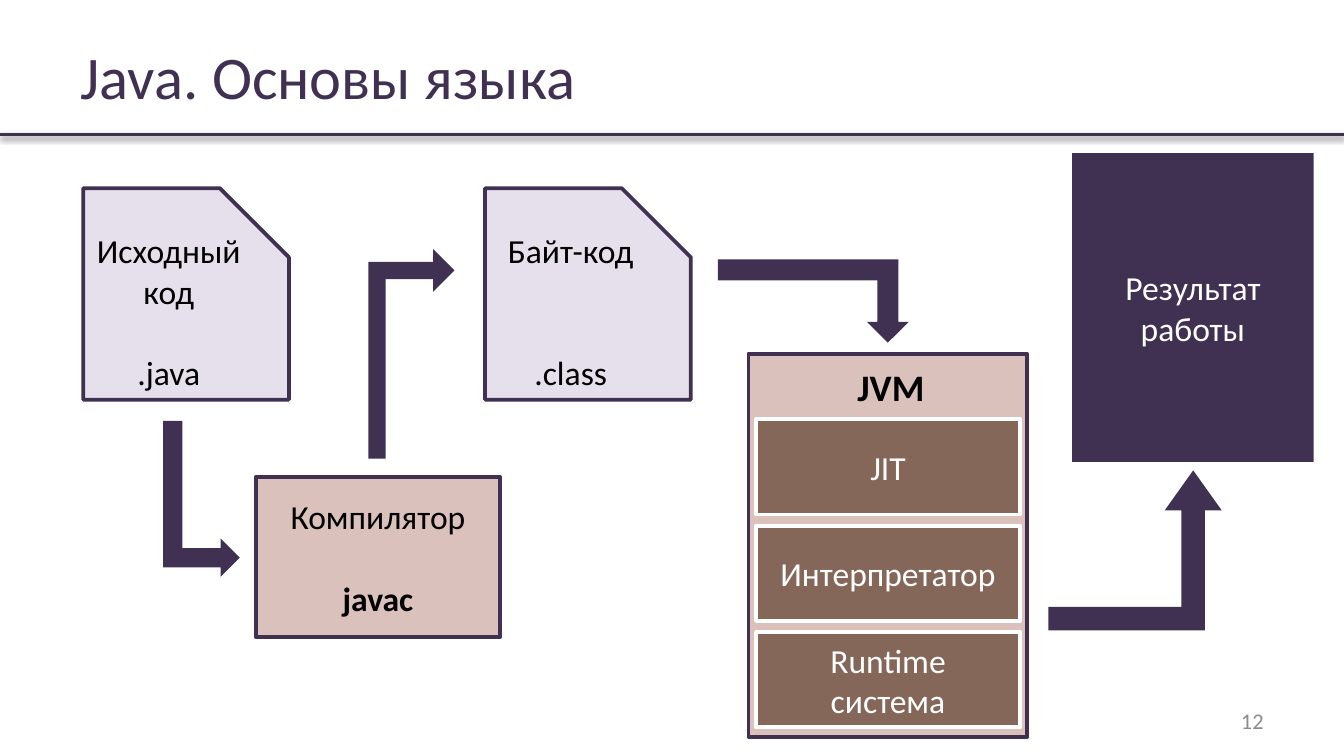
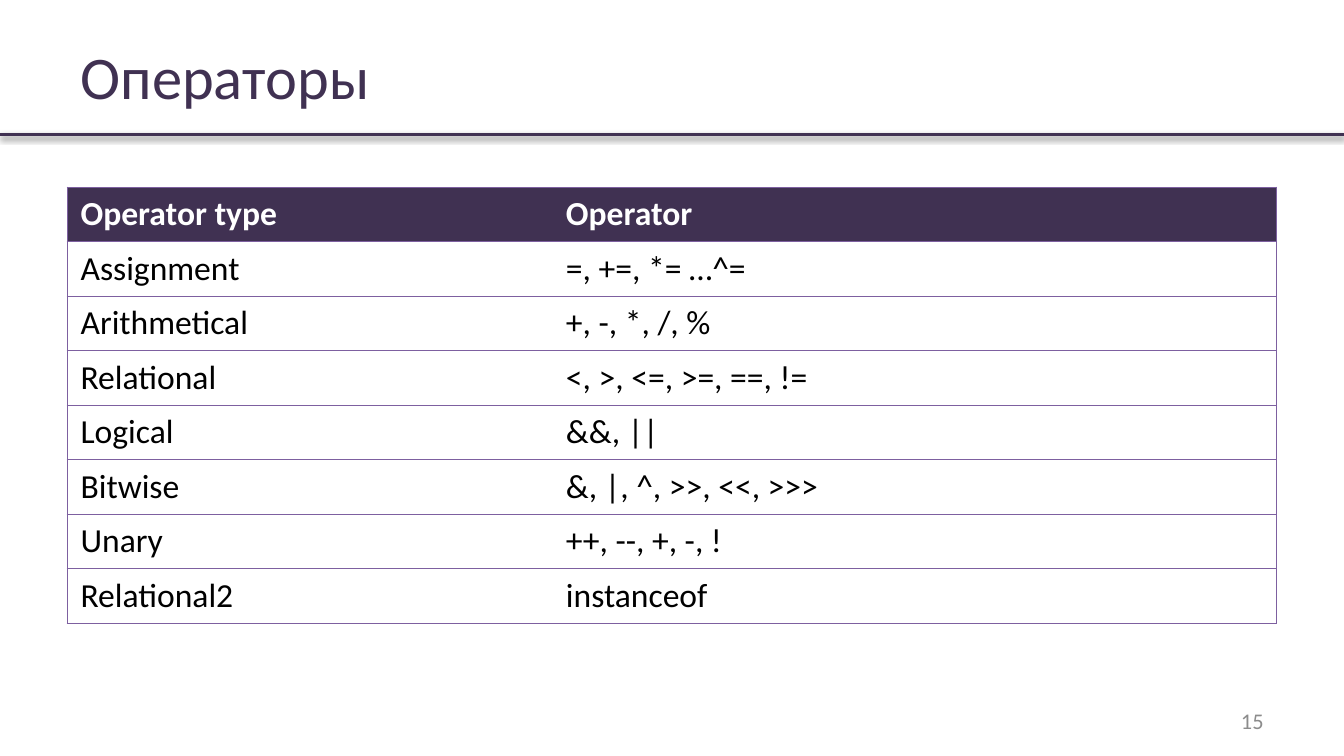
import pptx
import pptx.util
import pptx.dml.color
import pptx.enum.shapes
import pptx.enum.text
import pptx.oxml

Pt = pptx.util.Pt
SHAPE = pptx.enum.shapes.MSO_SHAPE
ALIGN = pptx.enum.text.PP_ALIGN
ANCHOR = pptx.enum.text.MSO_ANCHOR
NAMESPACE = 'xmlns:a="http://schemas.openxmlformats.org/drawingml/2006/main"'
FONT = "Calibri"
PURPLE, LILAC, PINK, BROWN = "403152", "E6E0EC", "DAC1BC", "846759"
BLACK, WHITE, GREY, BORDER = "000000", "FFFFFF", "8C8C8C", "7D60A0"
LINE_HEIGHT = 22


def style_paragraph(paragraph, size, color, bold=False, align=ALIGN.LEFT):
    paragraph.alignment = align
    paragraph.font.name = FONT
    paragraph.font.size = Pt(size)
    paragraph.font.bold = bold
    paragraph.font.color.rgb = pptx.dml.color.RGBColor.from_string(color)


def add_box(shapes, kind, box, fill, line=None, lines=(), color=BLACK):
    shape = shapes.add_shape(kind, *[Pt(length) for length in box])
    shape.shadow.inherit = False
    shape.fill.solid()
    shape.fill.fore_color.rgb = pptx.dml.color.RGBColor.from_string(fill)
    if line:
        shape.line.color.rgb = pptx.dml.color.RGBColor.from_string(line)
        shape.line.width = Pt(2)
    else:
        shape.line.fill.background()
    frame = shape.text_frame
    frame.word_wrap = True
    frame.vertical_anchor = ANCHOR.MIDDLE
    for index, (text, gap, bold) in enumerate(lines):
        paragraph = frame.add_paragraph() if index else frame.paragraphs[0]
        paragraph.text = text
        if gap:
            paragraph.space_before = Pt(gap * LINE_HEIGHT)
        style_paragraph(paragraph, 18, color, bold, ALIGN.CENTER)
    return shape


presentation = pptx.Presentation()
presentation.slide_width, presentation.slide_height = Pt(720), Pt(405)
layout = presentation.slide_layouts[5]

slides = []
for title, number in (("Java. Основы языка", "12"), ("Операторы", "15")):
    slide = presentation.slides.add_slide(layout)
    heading = slide.shapes.title
    heading.left, heading.top, heading.width, heading.height = Pt(36), Pt(16.5), Pt(648), Pt(48)
    heading.text_frame.text = title
    heading.text_frame.auto_size = pptx.enum.text.MSO_AUTO_SIZE.NONE
    heading.text_frame.vertical_anchor = ANCHOR.MIDDLE
    style_paragraph(heading.text_frame.paragraphs[0], 32.4, PURPLE)

    page_number = slide.shapes.add_textbox(Pt(516), Pt(375.3), Pt(168), Pt(21.6))
    page_number.text_frame.word_wrap = True
    page_number.text_frame.vertical_anchor = ANCHOR.MIDDLE
    page_number.text_frame.text = number
    style_paragraph(page_number.text_frame.paragraphs[0], 12, GREY, align=ALIGN.RIGHT)
    slides.append(slide)

diagram_slide, table_slide = slides

rule = diagram_slide.shapes.add_connector(
    pptx.enum.shapes.MSO_CONNECTOR.STRAIGHT, Pt(0), Pt(72), Pt(720), Pt(72))
rule.line.color.rgb = pptx.dml.color.RGBColor.from_string(PURPLE)
rule.line.width = Pt(2)
rule.element.spPr.append(pptx.oxml.parse_xml(
    f'<a:effectLst {NAMESPACE}><a:outerShdw blurRad="{Pt(3.1)}" dist="{Pt(1.6)}" dir="5400000" '
    f'rotWithShape="0"><a:srgbClr val="{BLACK}"><a:alpha val="38000"/></a:srgbClr>'
    '</a:outerShdw></a:effectLst>'))
layout.shapes.element.append(rule.element)

shapes = diagram_slide.shapes
files = (
    (44.6, (("Исходный код", 0, False), (".java", 1, False))),
    (259.9, (("Байт-код", 0, False), (".class", 2, False))),
)
for left, lines in files:
    file_shape = add_box(shapes, SHAPE.SNIP_1_RECTANGLE, (left, 100.8, 110.2, 113.3),
                         LILAC, PURPLE, lines)
    file_shape.adjustments[0] = 0.336

add_box(shapes, SHAPE.RECTANGLE, (137, 255.6, 131, 85.7), PINK, PURPLE,
        (("Компилятор", 0, False), ("javac", 1, True)))
add_box(shapes, SHAPE.RECTANGLE, (574.4, 82, 129.3, 165.5), PURPLE,
        lines=(("Результат работы", 0, False),), color=WHITE)

machine = shapes.add_group_shape().shapes
add_box(machine, SHAPE.RECTANGLE, (401, 189.5, 149.3, 205.3), PINK, PURPLE)
machine_label = machine.add_textbox(Pt(452.2), Pt(191.5), Pt(51.1), Pt(31.7))
machine_label.text_frame.word_wrap = False
machine_label.text_frame.text = "JVM"
style_paragraph(machine_label.text_frame.paragraphs[0], 20, BLACK, True)
for index, part in enumerate((("JIT",), ("Интерпретатор",), ("Runtime", "система"))):
    add_box(machine, SHAPE.RECTANGLE, (405, 224.6 + 57 * index, 141.5, 51.1), BROWN, WHITE,
            [(text, 0, False) for text in part], WHITE)

arrows = (
    ((561.6, 252, 92.9, 85.7), 0, False, (0.147, 0.178, 0.25)),
    ((384.6, 139, 102.2, 44.6), 0, True, (0.25, 0.25, 0.25)),
    ((66.2, 246.8, 83.5, 41), 90, False, (0.25, 0.25, 0.25)),
    ((164.3, 166.5, 112.3, 46.1), 270, True, (0.2, 0.25, 0.25)),
)
for box, rotation, flipped, adjustments in arrows:
    arrow = add_box(shapes, SHAPE.BENT_UP_ARROW, box, PURPLE)
    arrow.rotation = rotation
    if flipped:
        arrow.element.spPr.xfrm.set("flipV", "1")
    for index, value in enumerate(adjustments):
        arrow.adjustments[index] = value

operators = (
    ("Operator type", "Operator"),
    ("Assignment", "=, +=, *= …^="),
    ("Arithmetical", "+, -, *, /, %"),
    ("Relational", "<, >, <=, >=, ==, !="),
    ("Logical", "&&, ||"),
    ("Bitwise", "&, |, ^, >>, <<, >>>"),
    ("Unary", "++, --, +, -, !"),
    ("Relational2", "instanceof"),
)
table = table_slide.shapes.add_table(
    len(operators), 2, Pt(36), Pt(100.3), Pt(648), Pt(233.6)).table
table.horz_banding = False
table.columns[0].width, table.columns[1].width = Pt(260), Pt(388)
for row_index, row in enumerate(operators):
    table.rows[row_index].height = Pt(29.2)
    for column_index, text in enumerate(row):
        cell = table.cell(row_index, column_index)
        cell.text = text
        is_header = row_index == 0
        style_paragraph(cell.text_frame.paragraphs[0], 18, WHITE if is_header else BLACK, is_header)
        outer_side = "R" if column_index else "L"
        properties = cell._tc.get_or_add_tcPr()
        for side in "LRTB":
            visible = side in "TB" or side == outer_side
            paint = f'<a:solidFill><a:srgbClr val="{BORDER}"/></a:solidFill>' if visible else "<a:noFill/>"
            properties.append(pptx.oxml.parse_xml(
                f'<a:ln{side} {NAMESPACE} w="{Pt(0.75)}">{paint}</a:ln{side}>'))
        if is_header:
            cell.fill.solid()
            cell.fill.fore_color.rgb = pptx.dml.color.RGBColor.from_string(PURPLE)
        else:
            cell.fill.background()

presentation.save("out.pptx")
